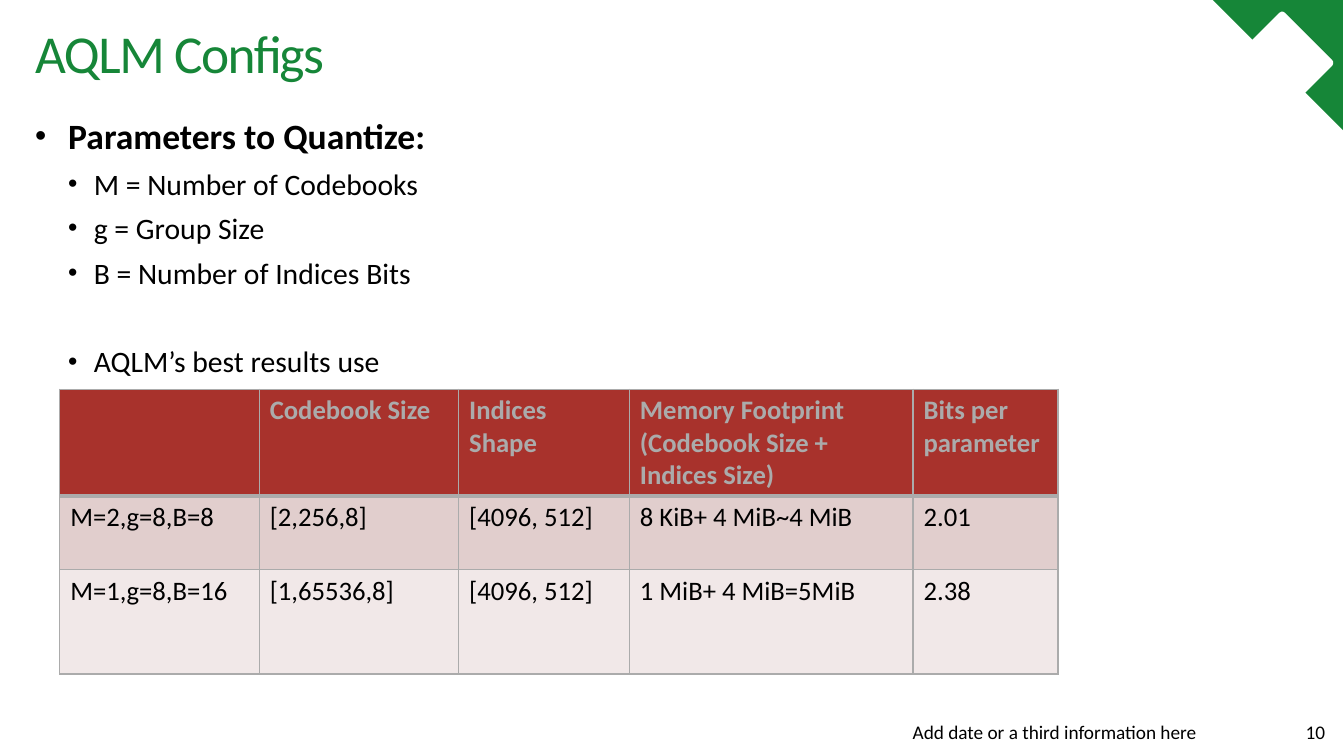
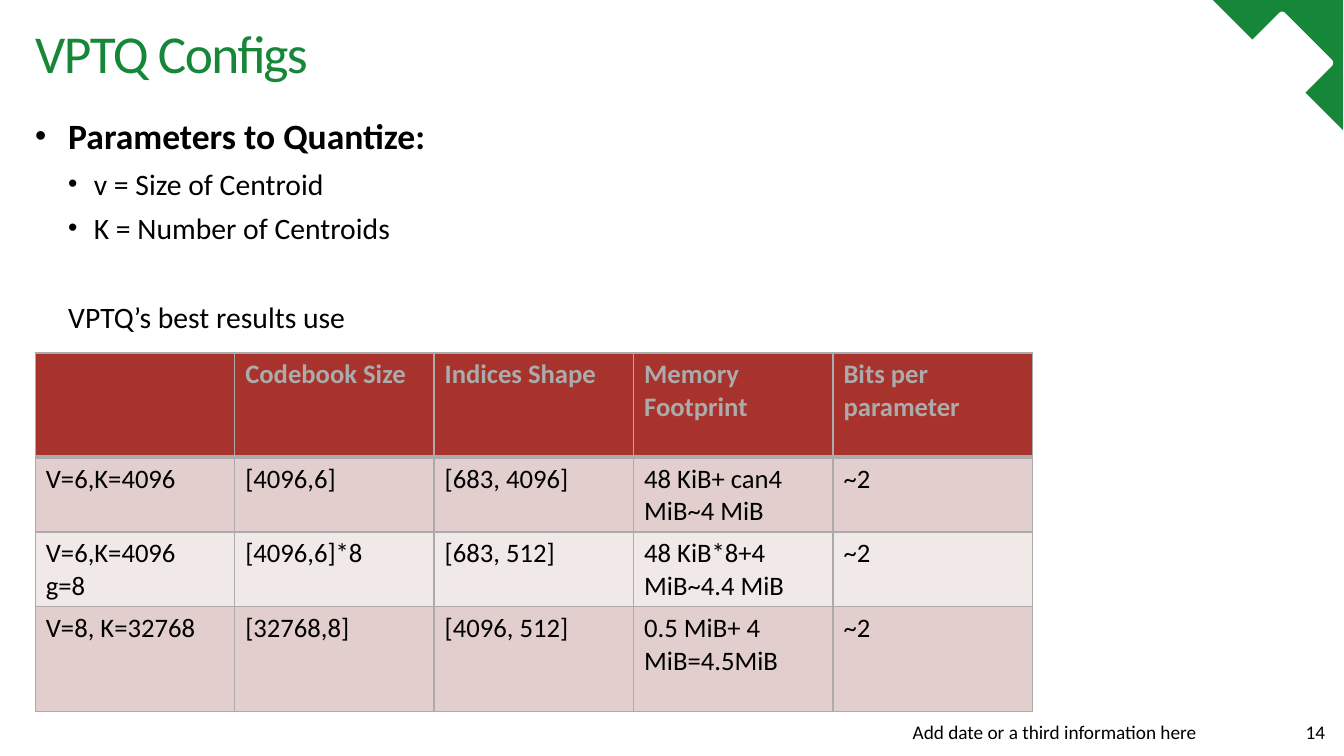
import dataclasses
from typing import Any

import lxml.etree
import pptx
import pptx.dml.color
import pptx.enum.shapes
import pptx.enum.text
import pptx.oxml.ns
import pptx.util

Inches = pptx.util.Inches
Pt = pptx.util.Pt
Align = pptx.enum.text.PP_ALIGN
Anchor = pptx.enum.text.MSO_ANCHOR
Preset = pptx.enum.shapes.MSO_SHAPE

FONT = "Calibri"
GREEN, WHITE, BLACK = "168638", "FFFFFF", "000000"
HEADER_RED, GREY = "A8322C", "ABABAB"
BAND_FILLS = ("E1CECD", "F1E8E8")
FOOTER_NOTE = "Add date or a third information here"


@dataclasses.dataclass(frozen=True)
class Ornament:
    preset: Any
    left: float
    top: float
    size: float
    rotation: float
    adjustment: float
    color: str


@dataclasses.dataclass(frozen=True)
class Point:
    text: str
    size: float = 20
    bold: bool = False
    margin: float = 0.55
    hanging: float = 0.24
    before: float = 6


@dataclasses.dataclass(frozen=True)
class ConfigTable:
    left: float
    top: float
    columns: list[float]
    heights: list[float]
    rows: list[list[str]]


@dataclasses.dataclass(frozen=True)
class ConfigSlide:
    title: str
    number: str
    points: list[Point]
    table: ConfigTable


CORNER = [
    Ornament(Preset.ISOSCELES_TRIANGLE, 11.37, 0, 1.22, 270, 1, GREEN),
    Ornament(Preset.ROUNDED_RECTANGLE, 11.46, 0.39, 0.39, 45, 0.05, WHITE),
    Ornament(Preset.ROUNDED_RECTANGLE, 11.67, 0.24, 0.7, 45, 0.05, WHITE),
]
HEADING = Point("Parameters to Quantize:", 24, True, 0.31, 0.31, 0)
AFTER_GAP = 36

SLIDES = [
    ConfigSlide(
        "AQLM Configs",
        "10",
        [
            HEADING,
            Point("M = Number of Codebooks"),
            Point("g = Group Size"),
            Point("B = Number of Indices Bits"),
            Point("AQLM’s best results use", before=AFTER_GAP),
        ],
        ConfigTable(
            0.56, 3.65, [1.87, 1.87, 1.6, 2.66, 1.36], [0.98, 0.69, 0.98],
            [
                ["", "Codebook Size", "Indices Shape",
                 "Memory Footprint\n(Codebook Size + Indices Size)", "Bits per parameter"],
                ["M=2,g=8,B=8", "[2,256,8]", "[4096, 512]", "8 KiB+ 4 MiB~4 MiB", "2.01"],
                ["M=1,g=8,B=16", "[1,65536,8]", "[4096, 512]", "1 MiB+ 4 MiB=5MiB", "2.38"],
            ],
        ),
    ),
    ConfigSlide(
        "VPTQ Configs",
        "14",
        [
            HEADING,
            Point("v = Size of Centroid"),
            Point("K = Number of Centroids"),
            Point("VPTQ’s best results use", margin=0.31, hanging=0, before=AFTER_GAP),
        ],
        ConfigTable(
            0.33, 3.31, [1.87] * 5, [0.98, 0.69, 0.69, 0.98],
            [
                ["", "Codebook Size", "Indices Shape", "Memory Footprint", "Bits per parameter"],
                ["V=6,K=4096", "[4096,6]", "[683, 4096]", "48 KiB+ can4 MiB~4 MiB", "~2"],
                ["V=6,K=4096\ng=8", "[4096,6]*8", "[683, 512]", "48 KiB*8+4 MiB~4.4 MiB", "~2"],
                ["V=8, K=32768", "[32768,8]", "[4096, 512]", "0.5 MiB+ 4 MiB=4.5MiB", "~2"],
            ],
        ),
    ),
]


def rgb(color: str) -> pptx.dml.color.RGBColor:
    return pptx.dml.color.RGBColor.from_string(color)


def add_element(parent: Any, tag: str, **attributes: str) -> Any:
    return lxml.etree.SubElement(parent, pptx.oxml.ns.qn(tag), attributes)


def set_font(paragraph: Any, size: float, color: str, bold: bool = False) -> None:
    font = paragraph.font
    font.name = FONT
    font.size = Pt(size)
    font.bold = bold
    font.color.rgb = rgb(color)


def set_insets(frame: Any, side: float, edge: float) -> None:
    frame.margin_left = frame.margin_right = Inches(side)
    frame.margin_top = frame.margin_bottom = Inches(edge)


def add_frame(slide: Any, left: float, top: float, width: float, height: float) -> Any:
    frame = slide.shapes.add_textbox(
        Inches(left), Inches(top), Inches(width), Inches(height)).text_frame
    frame.word_wrap = True
    return frame


def draw_ornament(slide: Any, ornament: Ornament) -> None:
    shape = slide.shapes.add_shape(
        ornament.preset, Inches(ornament.left), Inches(ornament.top),
        Inches(ornament.size), Inches(ornament.size))
    shape.rotation = ornament.rotation
    shape.adjustments[0] = ornament.adjustment
    shape.shadow.inherit = False
    shape.fill.solid()
    shape.fill.fore_color.rgb = rgb(ornament.color)
    shape.line.fill.background()


def draw_title(slide: Any, text: str) -> None:
    title = slide.shapes.title
    title.left, title.top = Inches(0.33), Inches(0.19)
    title.width, title.height = Inches(11.02), Inches(0.68)
    frame = title.text_frame
    frame.text = text
    frame.auto_size = pptx.enum.text.MSO_AUTO_SIZE.NONE
    frame.vertical_anchor = Anchor.MIDDLE
    set_insets(frame, 0, 0)
    paragraph = frame.paragraphs[0]
    paragraph.alignment = Align.LEFT
    paragraph.line_spacing = 0.9
    set_font(paragraph, 36, GREEN)
    paragraph.runs[0]._r.get_or_add_rPr().set("spc", "-100")


def draw_footer(slide: Any, text: str, left: float, width: float) -> None:
    frame = add_frame(slide, left, 6.71, width, 0.31)
    frame.vertical_anchor = Anchor.BOTTOM
    frame.text = text
    paragraph = frame.paragraphs[0]
    paragraph.alignment = Align.RIGHT
    set_font(paragraph, 13, BLACK)


def draw_points(slide: Any, points: list[Point]) -> None:
    frame = add_frame(slide, 0.33, 1.02, 11.02, 2.6)
    set_insets(frame, 0, 0.05)
    frame.text = "\n".join(point.text for point in points)
    for paragraph, point in zip(frame.paragraphs, points):
        properties = paragraph._p.get_or_add_pPr()
        properties.set("marL", str(Inches(point.margin)))
        properties.set("indent", str(-Inches(point.hanging)))
        if point.hanging:
            add_element(properties, "a:buSzPct", val="90000")
            add_element(properties, "a:buFont", typeface="Arial")
            add_element(properties, "a:buChar", char="•")
        if point.before:
            paragraph.space_before = Pt(point.before)
        set_font(paragraph, point.size, BLACK, point.bold)


def add_border(cell: Any, side: str, width: float) -> None:
    border = add_element(cell._tc.get_or_add_tcPr(), f"a:ln{side}", w=str(Pt(width)))
    add_element(add_element(border, "a:solidFill"), "a:srgbClr", val=GREY)


def draw_table(slide: Any, content: ConfigTable) -> None:
    table = slide.shapes.add_table(
        len(content.heights), len(content.columns),
        Inches(content.left), Inches(content.top),
        Inches(sum(content.columns)), Inches(sum(content.heights))).table
    table.horz_banding = False
    for column, width in zip(table.columns, content.columns):
        column.width = Inches(width)
    for index, (row, height) in enumerate(zip(table.rows, content.heights)):
        row.height = Inches(height)
        header = index == 0
        fill = HEADER_RED if header else BAND_FILLS[(index - 1) % 2]
        widths = {"L": 1, "R": 1, "T": 3 if index == 1 else 1, "B": 3 if header else 1}
        for cell, text in zip(row.cells, content.rows[index]):
            for side, width in widths.items():
                add_border(cell, side, width)
            cell.fill.solid()
            cell.fill.fore_color.rgb = rgb(fill)
            cell.text = text
            for paragraph in cell.text_frame.paragraphs:
                set_font(paragraph, 18, GREY if header else BLACK, header)


def draw_slide(presentation: Any, content: ConfigSlide) -> None:
    slide = presentation.slides.add_slide(presentation.slide_layouts[5])
    for ornament in CORNER:
        draw_ornament(slide, ornament)
    draw_title(slide, content.title)
    draw_points(slide, content.points)
    draw_footer(slide, FOOTER_NOTE, 3.83, 7.48)
    draw_footer(slide, content.number, 11.93, 0.59)
    draw_table(slide, content.table)


def main() -> None:
    presentation = pptx.Presentation()
    presentation.slide_width = Inches(12.6)
    presentation.slide_height = Inches(7.09)
    for content in SLIDES:
        draw_slide(presentation, content)
    presentation.save("out.pptx")


if __name__ == "__main__":
    main()
